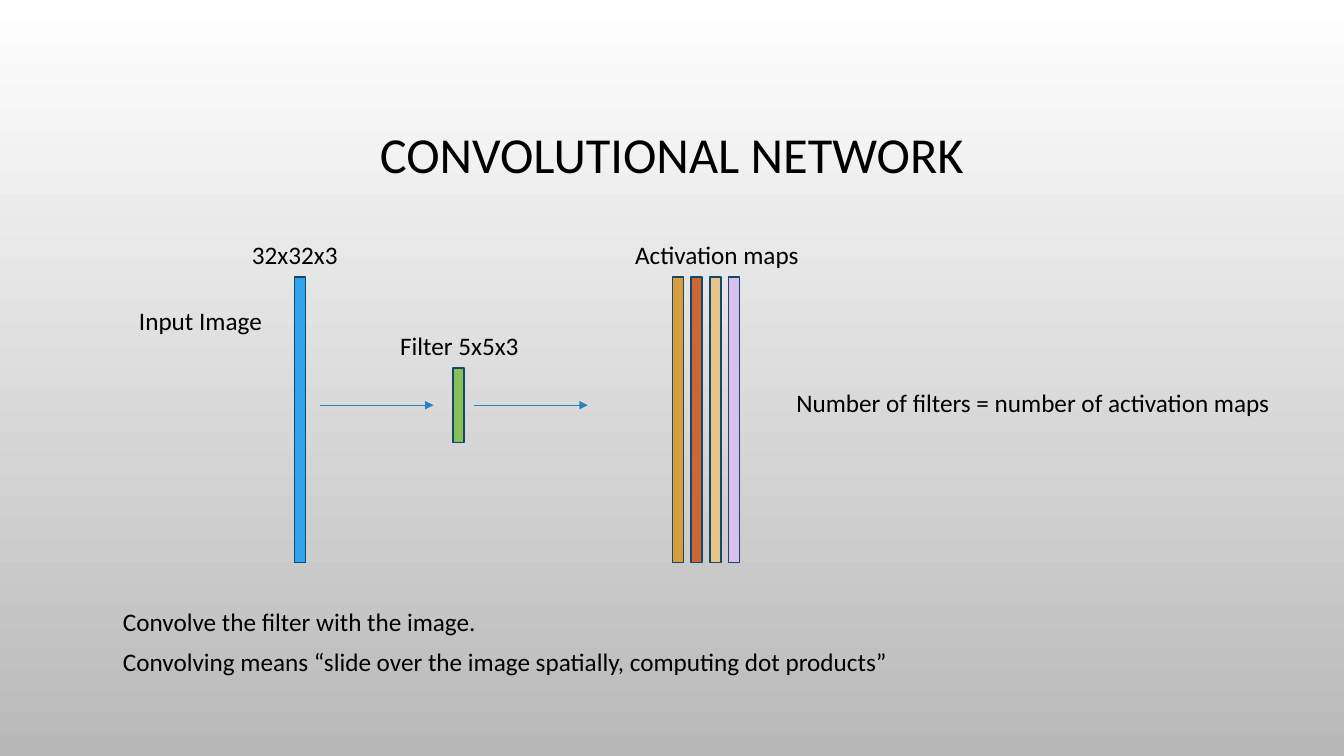
from lxml import etree
from pptx import Presentation
from pptx.dml.color import RGBColor
from pptx.enum.shapes import MSO_CONNECTOR, MSO_SHAPE
from pptx.enum.text import MSO_ANCHOR, PP_ALIGN
from pptx.oxml.ns import qn
from pptx.util import Inches, Pt

RECT = MSO_SHAPE.RECTANGLE
LINE = MSO_CONNECTOR.STRAIGHT
MID, TOP = MSO_ANCHOR.MIDDLE, MSO_ANCHOR.TOP
MITTE, LEFT = PP_ALIGN.CENTER, PP_ALIGN.LEFT

# Content: text, left, top, width
TITLE = "CONVOLUTIONAL NETWORK"
LABELS = [
    ("32x32x3", 2.4, 2.33, 1.45),
    ("Input Image", 1.28, 2.98, 1.89),
    ("Filter 5x5x3", 3.87, 3.23, 1.89),
    ("Activation maps", 6.2, 2.33, 1.89),
    ("Number of filters = number of activation maps", 7.8, 3.79, 5.56),
    ("Convolve the filter with the image.", 1.12, 5.97, 3.99),
    ("Convolving means “slide over the image spatially, computing dot products”",
     1.12, 6.36, 8.79),
]
MAPS = ["D99C3F", "CE6633", "E8C48C", "DABEED"]
ARROWS = [3.17, 4.7]

# Layout
BAR_W, BAR_TOP, BAR_H = 0.11, 2.75, 2.83
MAP_X, MAP_STEP = 6.67, 0.185
FLOW_Y, FLOW_W = 4.02, 1.13
FILTER_H = 0.74
TITLE_FONT = {"name": "Calibri", "size": Pt(36)}
LABEL_FONT = {"name": "Calibri", "size": Pt(18)}


def color(code):
    return RGBColor.from_string(code)


def add_text(text, x, y, w, h, font, align=LEFT, anchor=TOP):
    box = slide.shapes.add_textbox(Inches(x), Inches(y), Inches(w), Inches(h))
    frame = box.text_frame
    frame.word_wrap = True
    frame.vertical_anchor = anchor
    para = frame.paragraphs[0]
    para.alignment = align
    run = para.add_run()
    run.text = text
    for key, value in font.items():
        setattr(run.font, key, value)
    run.font.color.rgb = color("000000")
    return para


def add_bar(x, y, h, fill):
    bar = slide.shapes.add_shape(RECT, Inches(x), Inches(y), Inches(BAR_W), Inches(h))
    bar.shadow.inherit = False
    bar.fill.solid()
    bar.fill.fore_color.rgb = color(fill)
    bar.line.color.rgb = color("154768")
    bar.line.width = Pt(1.25)


def add_arrow(x):
    y = Inches(FLOW_Y)
    arrow = slide.shapes.add_connector(LINE, Inches(x), y, Inches(x + FLOW_W), y)
    arrow.line.color.rgb = color("2683BF")
    arrow.line.width = Pt(0.75)
    etree.SubElement(arrow.line._get_or_add_ln(), qn("a:tailEnd"), type="triangle")
    etree.SubElement(arrow._element.spPr, qn("a:effectLst"))


# Slide and background
deck = Presentation()
deck.slide_width, deck.slide_height = Inches(13.33), Inches(7.5)
slide = deck.slides.add_slide(deck.slide_layouts[6])
back = slide.background.fill
back.gradient()
back.gradient_angle = 270
for stop, code in zip(back.gradient_stops, ["FFFFFF", "B9B9B9"]):
    stop.color.rgb = color(code)

# Title and labels
head = add_text(TITLE, 1, 0.68, 11.33, 1.75, TITLE_FONT, MITTE, MID)
head.line_spacing = 0.9
for text, x, y, w in LABELS:
    add_text(text, x, y, w, 0.4, LABEL_FONT)

# Input, filter and activation maps
add_bar(2.92, BAR_TOP, BAR_H, "2FA3EE")
add_bar(4.49, FLOW_Y - FILTER_H / 2, FILTER_H, "86C157")
for i, fill in enumerate(MAPS):
    add_bar(MAP_X + i * MAP_STEP, BAR_TOP, BAR_H, fill)

# Flow arrows
for x in ARROWS:
    add_arrow(x)

deck.save("out.pptx")
